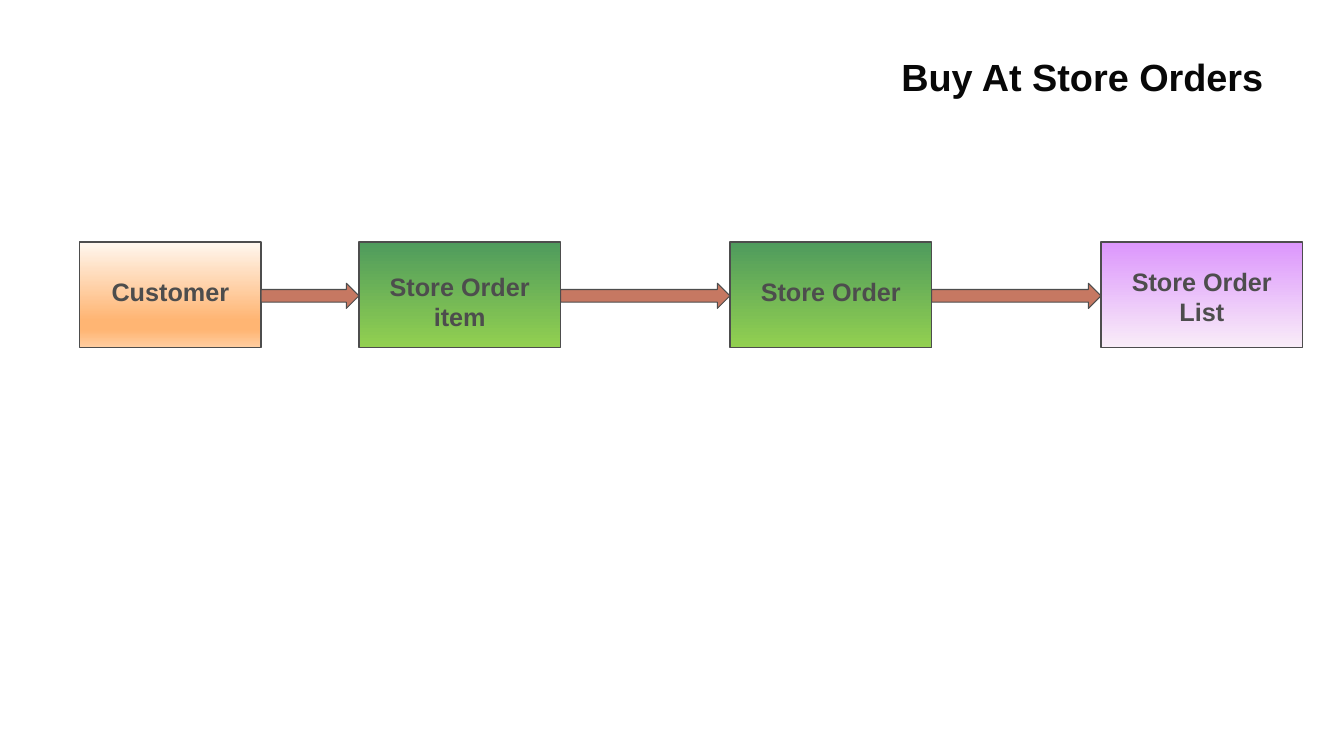
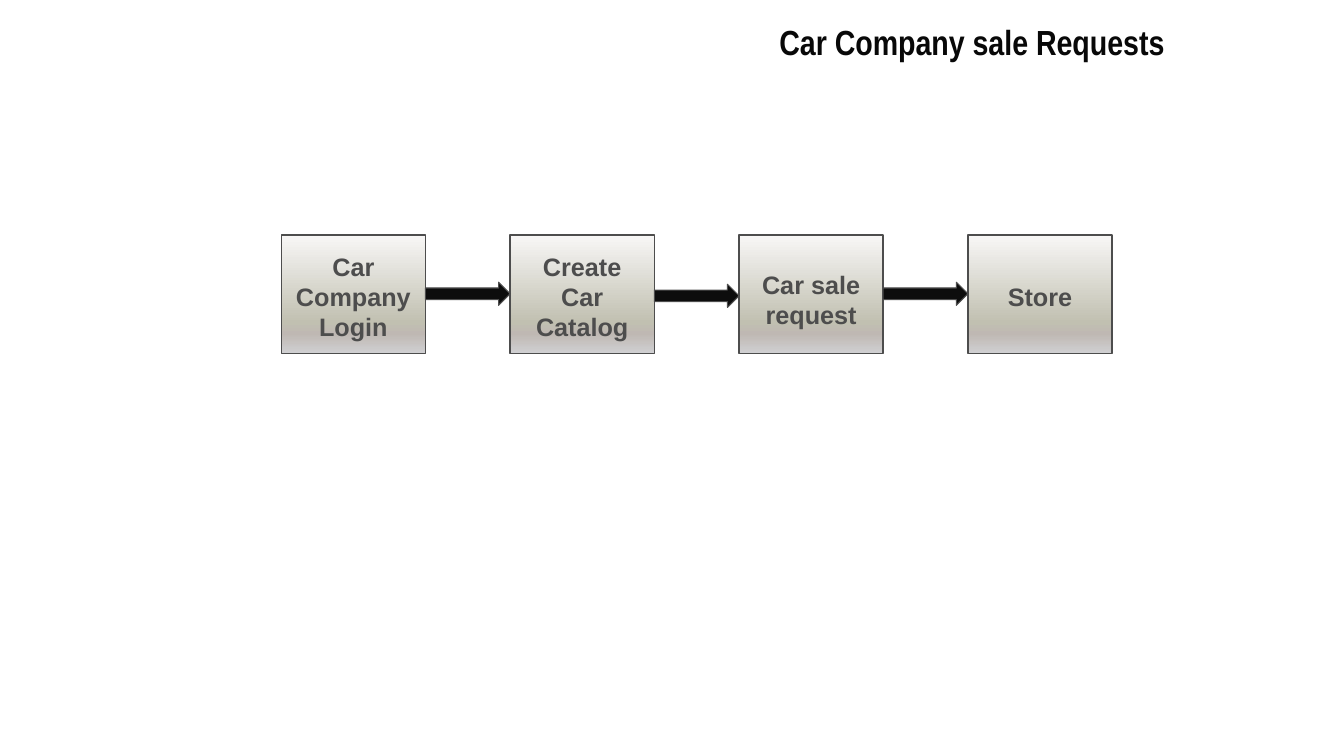
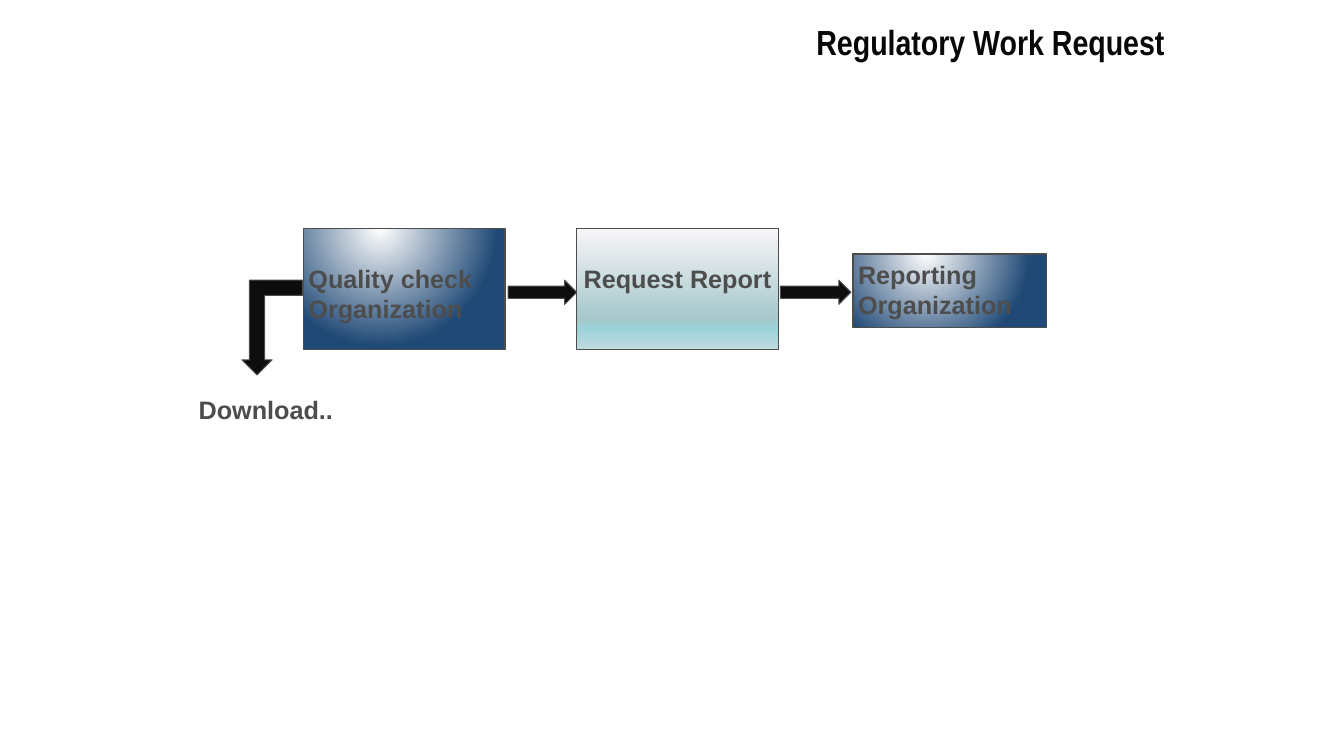
from pptx import Presentation
from pptx.dml.color import RGBColor
from pptx.enum.shapes import MSO_SHAPE
from pptx.enum.text import MSO_ANCHOR, PP_ALIGN
from pptx.oxml import parse_xml
from pptx.util import Inches, Pt

RECT, ARROW = MSO_SHAPE.RECTANGLE, MSO_SHAPE.RIGHT_ARROW
TOP, MIDDLE = MSO_ANCHOR.TOP, MSO_ANCHOR.MIDDLE
LEFT, CENTER, RIGHT = PP_ALIGN.LEFT, PP_ALIGN.CENTER, PP_ALIGN.RIGHT

COLORS = {"title": "080808", "ink": "4D4D4D", "clay": "C67862", "black": "0D0D0D"}

# Gradient stops: (percent, colour)
GRADIENTS = {
    "orange": [(0, "FFF7EF"), (74, "FFB573"), (83, "FFB573"), (100, "FFCEA2")],
    "green": [(0, "4F9B5D"), (100, "92D050")],
    "violet": [(0, "DC96FC"), (100, "F9EDF8")],
    "stone": [(0, "F8F7F6"), (74, "C1C0B1"), (83, "BFB8B3"), (100, "D0D0D2")],
    "aqua": [(0, "F9F5F8"), (74, "A6C8CC"), (83, "9AD2D8"), (100, "C2DBE0")],
    "navy": [(0, "FFFFFF"), (100, "204976")],
}
LINEAR = '<a:lin ang="5400000" scaled="0"/>'
RADIAL = ('<a:path path="circle"><a:fillToRect l="38000" t="-20000" '
          'r="62000" b="120000"/></a:path>')
NS = "http://schemas.openxmlformats.org/drawingml/2006/main"

SLIDE_W, SLIDE_H = 13.33, 7.5
INSET = 0.05
LINE_H = 0.29                # one 18 pt line
LOWERED = INSET + LINE_H     # text starting on the second line of a box


def rgb(name):
    return RGBColor.from_string(COLORS[name])


def write(sp, text, size=18, font="Arial", color="ink", align=LEFT,
          anchor=TOP, top=INSET):
    tf = sp.text_frame
    tf.word_wrap = True
    tf.vertical_anchor = anchor
    tf.margin_left = tf.margin_right = tf.margin_bottom = Inches(INSET)
    tf.margin_top = Inches(top)
    for i, line in enumerate(text.split("\n")):
        p = tf.add_paragraph() if i else tf.paragraphs[0]
        p.alignment = align
        r = p.add_run()
        r.text = line
        r.font.size, r.font.name, r.font.bold = Pt(size), font, True
        r.font.color.rgb = rgb(color)


def add_text(slide, x, y, w, h, text, **fmt):
    sp = slide.shapes.add_textbox(Inches(x), Inches(y), Inches(w), Inches(h))
    write(sp, text, **fmt)


def add_title(slide, text, x=0.79, y=0.13, size=24.9, font="Arial Narrow"):
    add_text(slide, x, y, 10.81, 0.56, text, size=size, font=font,
             color="title", align=RIGHT, anchor=MIDDLE)


def outline(sp, width):
    sp.shadow.inherit = False
    sp.line.color.rgb = rgb("ink")
    sp.line.width = Pt(width)


def fill_gradient(sp, name, shade):
    sp.fill.background()
    stops = "".join(f'<a:gs pos="{pos * 1000}"><a:srgbClr val="{c}"/></a:gs>'
                    for pos, c in GRADIENTS[name])
    grad = parse_xml(f'<a:gradFill xmlns:a="{NS}" rotWithShape="1">'
                     f'<a:gsLst>{stops}</a:gsLst>{shade}</a:gradFill>')
    empty = sp.fill._xPr.find(f"{{{NS}}}noFill")
    empty.getparent().replace(empty, grad)


def add_box(slide, x, y, w, h, text, gradient, top=LOWERED, align=CENTER,
            shade=LINEAR):
    sp = slide.shapes.add_shape(RECT, Inches(x), Inches(y), Inches(w), Inches(h))
    fill_gradient(sp, gradient, shade)
    outline(sp, 1)
    write(sp, text, top=top, align=align)
    return sp


def add_arrow(slide, source, target, y, h, color="black", tail=0, tip=0):
    """Block arrow across the gap between two boxes; tail and tip are clearances."""
    x = source.left + source.width + Inches(tail)
    sp = slide.shapes.add_shape(ARROW, x, Inches(y),
                                target.left - Inches(tip) - x, Inches(h))
    sp.fill.solid()
    sp.fill.fore_color.rgb = rgb(color)
    outline(sp, 0.75)


def add_bent_arrow(slide, x, y, w, h, shaft=0.15, head=0.3):
    """Arrow that leaves a box to the left and turns down."""
    side = (head - shaft) / 2
    inner, neck = x + side + shaft, y + h - head / 2
    points = [(x + w, y + shaft), (inner, y + shaft), (inner, neck),
              (x + head, neck), (x + head / 2, y + h), (x, neck),
              (x + side, neck), (x + side, y), (x + w, y)]
    points = [(Inches(px), Inches(py)) for px, py in points]
    builder = slide.shapes.build_freeform(*points[0])
    builder.add_line_segments(points[1:], close=True)
    sp = builder.convert_to_shape()
    sp.fill.solid()
    sp.fill.fore_color.rgb = rgb("black")
    outline(sp, 0.75)


def store_orders(slide):
    add_title(slide, "Buy At Store Orders", x=1.77, y=0.48, size=27, font="Arial")
    y, w, h = 2.4, 2, 1.05
    boxes = [add_box(slide, 0.79, y, 1.8, h, "Customer", "orange")]
    steps = [("Store Order item", "green", LOWERED - 0.05),
             ("Store Order", "green", LOWERED),
             ("Store Order List", "violet", 0.24)]
    for i, (text, gradient, top) in enumerate(steps):
        boxes.append(add_box(slide, 3.56 + 3.68 * i, y, w, h, text, gradient, top))
    for source, target in zip(boxes, boxes[1:]):
        add_arrow(slide, source, target, 2.81, 0.25, "clay")


def car_sales(slide):
    add_title(slide, "Car Company sale Requests")
    steps = [("Car Company Login", 0.16), ("Create\nCar Catalog", 0.16),
             ("Car sale request", LOWERED), ("Store", LOWERED + 0.12)]
    boxes = [add_box(slide, 2.79 + 2.27 * i, 2.33, 1.43, 1.18, text, "stone", top)
             for i, (text, top) in enumerate(steps)]
    for source, target, y in zip(boxes, boxes[1:], (2.8, 2.82, 2.8)):
        add_arrow(slide, source, target, y, 0.23)


def regulatory_work(slide):
    add_title(slide, "Regulatory Work Request")
    y, w, h = 2.27, 2, 1.2
    quality = add_box(slide, 3.01, y, w, h, "Quality check Organization", "navy",
                      align=LEFT, shade=RADIAL)
    report = add_box(slide, 5.72, y, w, h, "Request Report", "aqua")
    agency = add_box(slide, 8.46, 2.52, 1.92, 0.73, "Reporting Organization",
                     "navy", top=INSET, align=LEFT, shade=RADIAL)
    add_arrow(slide, quality, report, 2.78, 0.24, tail=0.03)
    add_arrow(slide, report, agency, 2.78, 0.24, tail=0.02, tip=0.02)
    # Download branch
    add_bent_arrow(slide, 2.4, 2.78, 0.6, 0.94)
    add_text(slide, 1.92, 3.86, 1.55, 0.38, "Download..")


def main():
    prs = Presentation()
    prs.slide_width, prs.slide_height = Inches(SLIDE_W), Inches(SLIDE_H)
    for build in (store_orders, car_sales, regulatory_work):
        build(prs.slides.add_slide(prs.slide_layouts[6]))
    prs.save("out.pptx")


if __name__ == "__main__":
    main()
